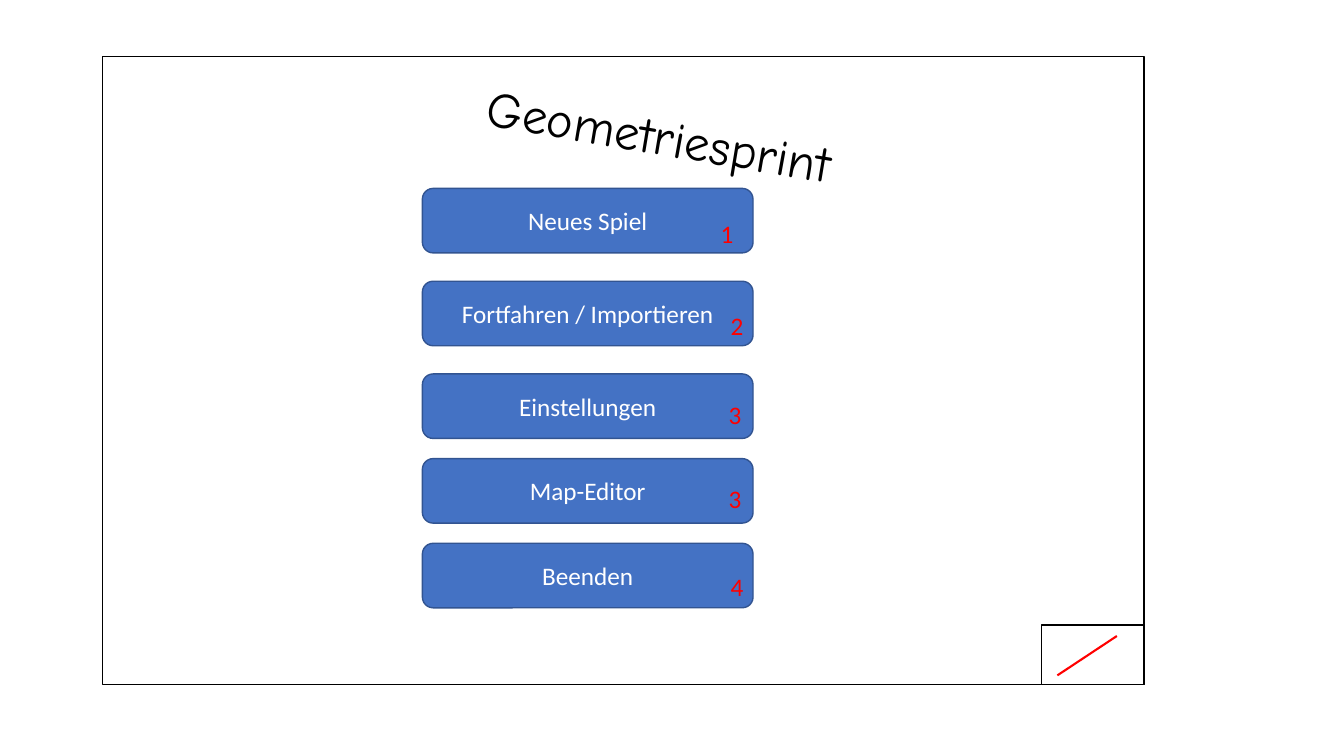
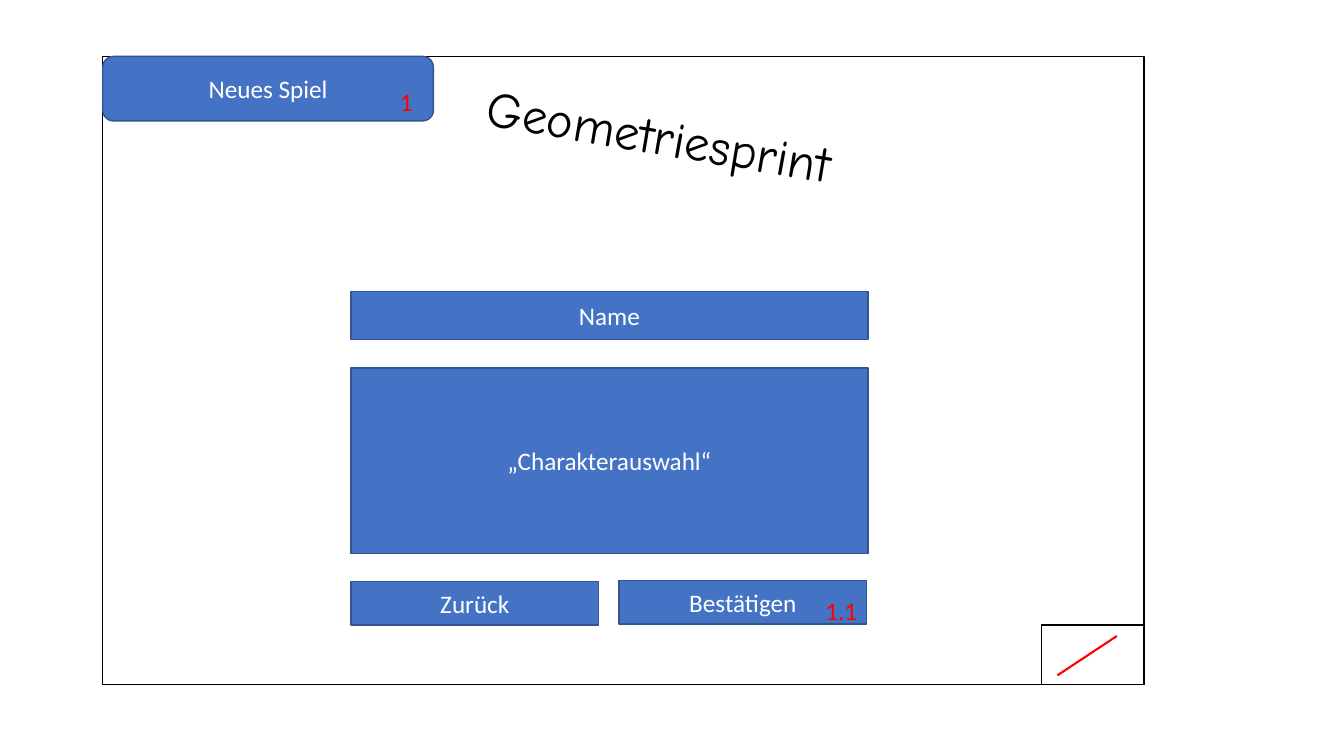
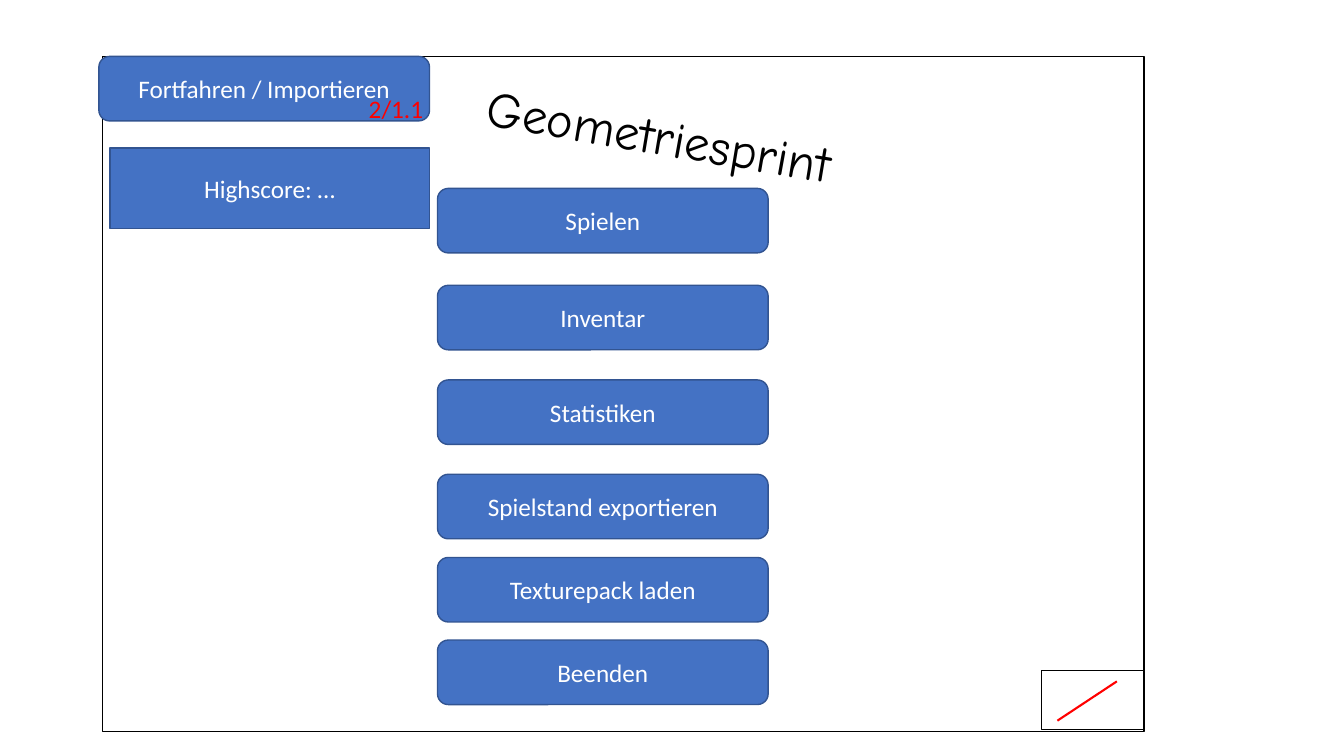
import pptx
import pptx.util
import pptx.dml.color
import pptx.enum.shapes
import pptx.enum.text
import pptx.oxml.ns
import lxml.etree

Pt = pptx.util.Pt
RGBColor = pptx.dml.color.RGBColor
MSO_SHAPE = pptx.enum.shapes.MSO_SHAPE
MSO_ANCHOR = pptx.enum.text.MSO_ANCHOR
MSO_AUTO_SIZE = pptx.enum.text.MSO_AUTO_SIZE
PP_ALIGN = pptx.enum.text.PP_ALIGN

BLACK = RGBColor(0x00, 0x00, 0x00)
WHITE = RGBColor(0xFF, 0xFF, 0xFF)
BLUE = RGBColor(0x44, 0x72, 0xC4)
DARK_BLUE = RGBColor(0x32, 0x54, 0x91)
RED = RGBColor(0xFF, 0x00, 0x00)

FRAME_LEFT, FRAME_TOP, FRAME_WIDTH = 73.4, 40.3, 743.8
CORNER_WIDTH, CORNER_HEIGHT = 73.4, 42.5
CORNER_LEFT = FRAME_LEFT + FRAME_WIDTH - CORNER_WIDTH
BUTTON_WIDTH, BUTTON_HEIGHT = 236.2, 46.1
FORM_LEFT, FORM_WIDTH = 250.6, 369.4


def add_box(slide, preset, bounds, fill, border):
    """Add a filled, outlined preset shape; bounds are left, top, width, height."""
    shape = slide.shapes.add_shape(preset, *[Pt(length) for length in bounds])
    shape.shadow.inherit = False
    shape.fill.solid()
    shape.fill.fore_color.rgb = fill
    shape.line.color.rgb = border
    shape.line.width = Pt(1)
    return shape


def write(shape, text, color, size=18, font="Calibri",
          align=PP_ALIGN.LEFT, anchor=MSO_ANCHOR.TOP):
    """Write one formatted run into the shape."""
    frame = shape.text_frame
    frame.word_wrap = True
    frame.vertical_anchor = anchor
    paragraph = frame.paragraphs[0]
    paragraph.alignment = align
    run = paragraph.add_run()
    run.text = text
    run.font.size = Pt(size)
    run.font.name = font
    run.font.color.rgb = color


# Each screen: frame height, corner top, buttons (text, left, top),
# panels (text, left, top, width, height), numbers (text, left, top, width)
main_menu = (
    448.6, 446.4,
    [("Neues Spiel", 301.7, 134.6),
     ("Fortfahren / Importieren", 301.7, 200.9),
     ("Einstellungen", 301.7, 267.1),
     ("Map-Editor", 301.7, 327.6),
     ("Beenden", 301.7, 388.1)],
    [],
    [("1", 507.6, 152.6, 23), ("2", 514.8, 218.2, 23), ("3", 513.4, 281.5, 23),
     ("3", 513.4, 342, 23), ("4", 514.8, 404.6, 23)],
)
new_game = (
    448.6, 446.4,
    [("Neues Spiel", FRAME_LEFT, FRAME_TOP)],
    [("Name", FORM_LEFT, 208.1, FORM_WIDTH, 34.6),
     ("„Charakterauswahl“", FORM_LEFT, 262.8, FORM_WIDTH, 132.5),
     ("Zurück", FORM_LEFT, 415.4, 177.1, 31),
     ("Bestätigen", 442.1, 414.7, 177.1, 31)],
    [("1", 278.6, 58.3, 23), ("1.1", 582.5, 421.9, 48.2)],
)
continue_game = (
    482.4, 478.8,
    [("Fortfahren / Importieren", 70.6, FRAME_TOP),
     ("Spielen", 312.5, 134.6),
     ("Inventar", 312.5, 203.8),
     ("Statistiken", 312.5, 271.4),
     ("Spielstand exportieren", 312.5, 338.8),
     ("Texturepack laden", 312.5, 398.2),
     ("Beenden", 312.5, 457.2)],
    [("Highscore: …", 78.5, 105.8, 228.2, 57.6)],
    [("2/1.1", 256.3, 63.4, 65.5)],
)

presentation = pptx.Presentation()
presentation.slide_width = Pt(960)
presentation.slide_height = Pt(540)
title_only = presentation.slide_layouts[5]

for frame_height, corner_top, buttons, panels, numbers in (main_menu, new_game, continue_game):
    slide = presentation.slides.add_slide(title_only)
    add_box(slide, MSO_SHAPE.RECTANGLE,
            (FRAME_LEFT, FRAME_TOP, FRAME_WIDTH, frame_height), WHITE, BLACK)
    add_box(slide, MSO_SHAPE.RECTANGLE,
            (CORNER_LEFT, corner_top, CORNER_WIDTH, CORNER_HEIGHT), WHITE, BLACK)

    slash = slide.shapes.add_connector(
        pptx.enum.shapes.MSO_CONNECTOR.STRAIGHT,
        Pt(755.3), Pt(corner_top + 36), Pt(797.8), Pt(corner_top + 7.9))
    slash.line.color.rgb = RED
    slash.line.width = Pt(1.5)
    lxml.etree.SubElement(slash.element.spPr, pptx.oxml.ns.qn("a:effectLst"))

    # The title has to lie in front of the white frame
    title = slide.shapes.title
    title.element.getparent().append(title.element)
    title.left, title.top, title.width, title.height = Pt(339.1), Pt(75.6), Pt(319), Pt(51.1)
    title.rotation = 9.5
    write(title, "Geometriesprint", BLACK, 36, "Comic Neue")
    title.text_frame.auto_size = MSO_AUTO_SIZE.SHAPE_TO_FIT_TEXT

    boxes = [(MSO_SHAPE.ROUNDED_RECTANGLE, text, (left, top, BUTTON_WIDTH, BUTTON_HEIGHT))
             for text, left, top in buttons]
    boxes += [(MSO_SHAPE.RECTANGLE, text, bounds) for text, *bounds in panels]
    for preset, text, bounds in boxes:
        box = add_box(slide, preset, bounds, BLUE, DARK_BLUE)
        write(box, text, WHITE, align=PP_ALIGN.CENTER, anchor=MSO_ANCHOR.MIDDLE)

    for text, left, top, width in numbers:
        number = slide.shapes.add_textbox(Pt(left), Pt(top), Pt(width), Pt(28.8))
        write(number, text, RED)
        number.text_frame.auto_size = MSO_AUTO_SIZE.SHAPE_TO_FIT_TEXT

presentation.save("out.pptx")
